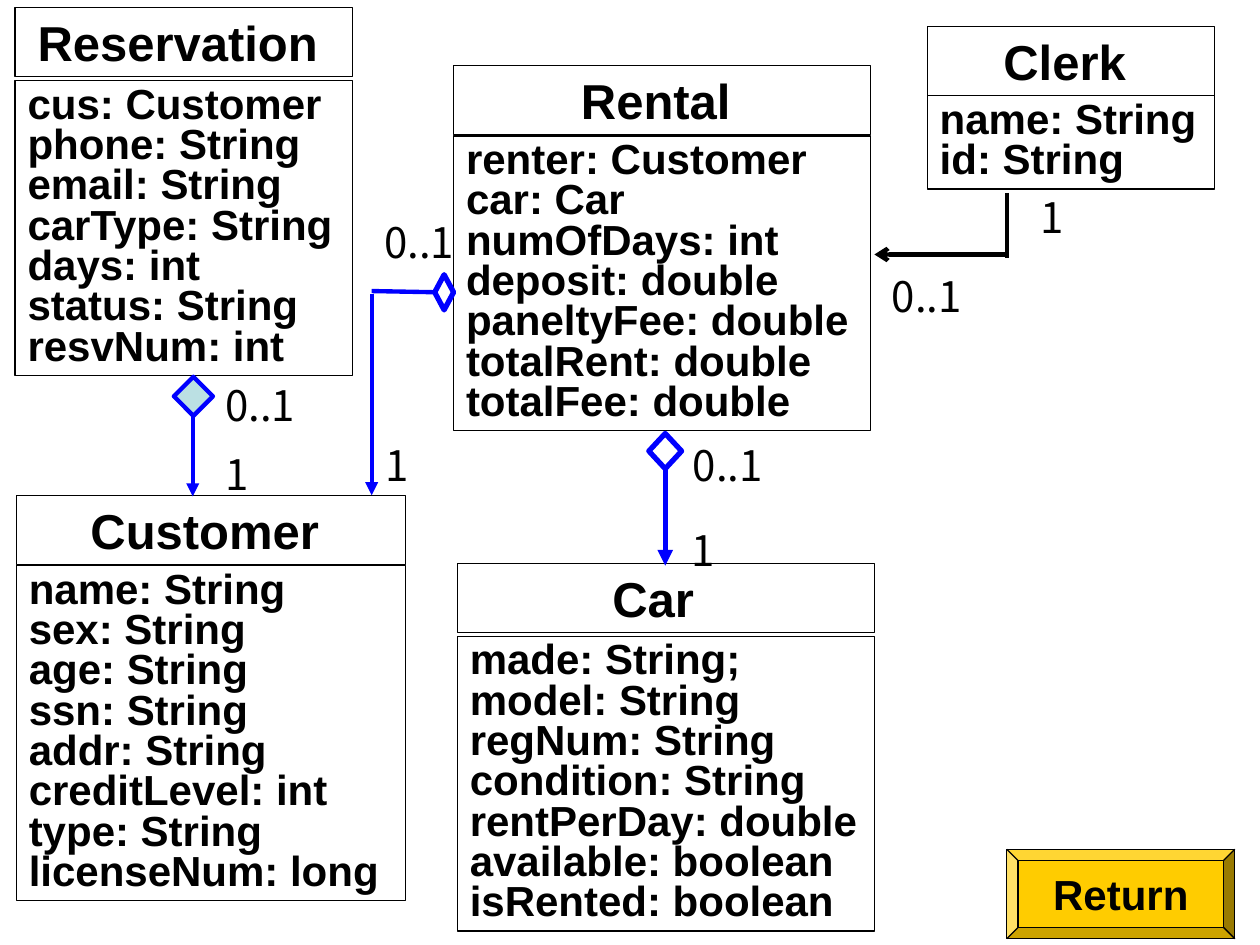
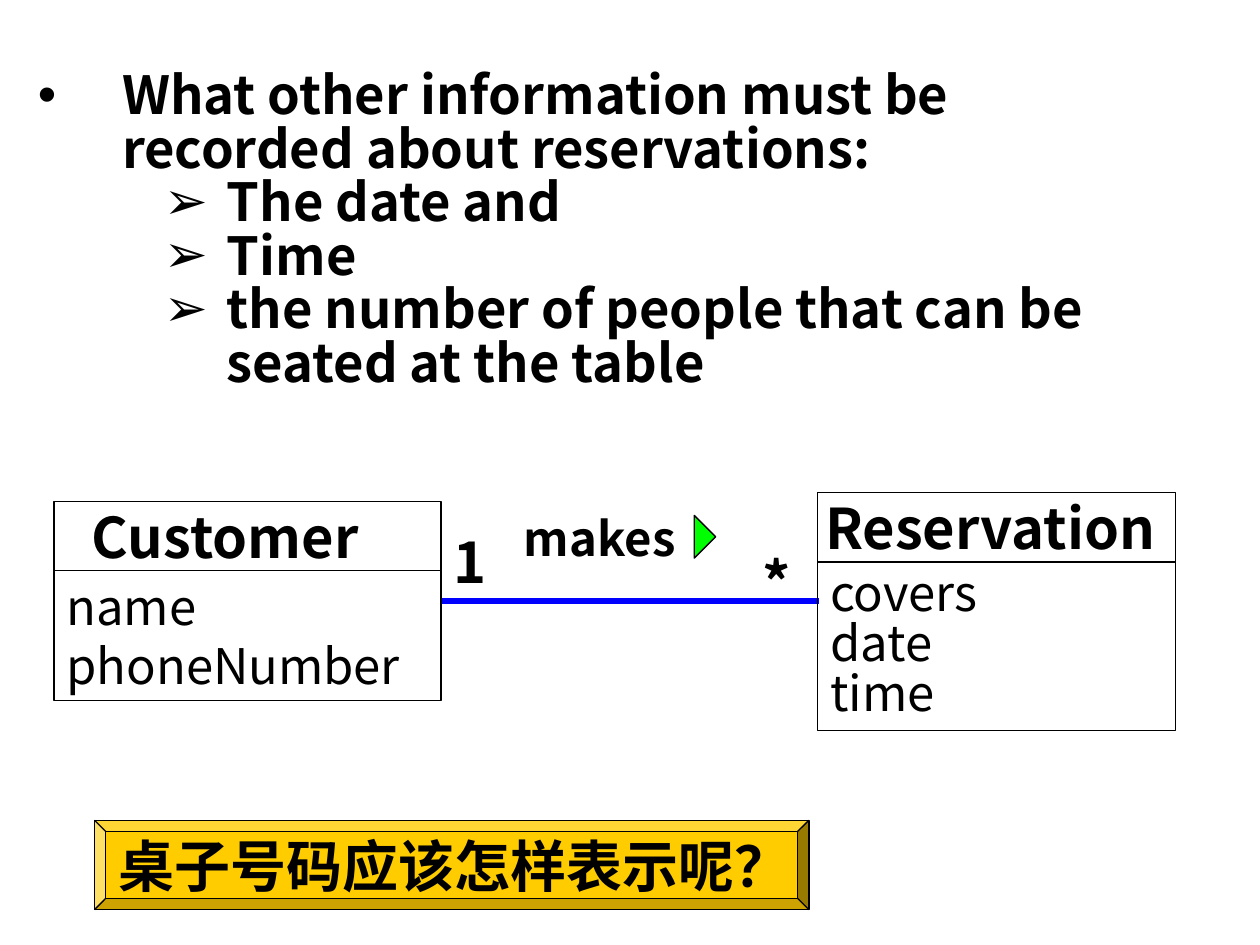
from dataclasses import dataclass

from lxml import etree
from pptx import Presentation
from pptx.dml.color import RGBColor
from pptx.enum import shapes, text
from pptx.oxml import ns
from pptx.util import Inches, Pt

BLACK = RGBColor(0x00, 0x00, 0x00)
WHITE = RGBColor(0xFF, 0xFF, 0xFF)
BLUE = RGBColor(0x00, 0x00, 0xFF)
PALE_BLUE = RGBColor(0xBB, 0xE0, 0xE3)
GOLD = RGBColor(0xFF, 0xCC, 0x00)
GREEN = RGBColor(0x00, 0xFF, 0x00)
ARIAL = "Arial"
NOTO = "Noto Sans CJK SC"
HEADER_HEIGHT = 0.55


@dataclass
class ClassStyle:
    font: str
    name_size: int
    attribute_size: int
    attribute_bold: bool
    spacing: float


CODE_STYLE = ClassStyle(ARIAL, 28, 24, True, 0.8)
DOMAIN_STYLE = ClassStyle(NOTO, 32, 28, False, 0.85)


def add_run(para, words, size, font, bold=False):
    span = para.add_run()
    span.text = words
    span.font.size = Pt(size)
    span.font.name = font
    span.font.bold = bold
    span.font.color.rgb = BLACK
    properties = span._r.get_or_add_rPr()
    etree.SubElement(properties, ns.qn("a:ea")).set("typeface", NOTO)


def fill_frame(frame, lines, size, font, bold=False, spacing=None, align=text.PP_ALIGN.LEFT):
    for index, line in enumerate(lines):
        para = frame.add_paragraph() if index else frame.paragraphs[0]
        para.alignment = align
        if spacing:
            para.line_spacing = spacing
        add_run(para, line, size, font, bold)


def add_shape(page, kind, left, top, width, height, fill=None, line=BLACK, weight=0.75):
    shape = page.shapes.add_shape(kind, Inches(left), Inches(top), Inches(width), Inches(height))
    shape.shadow.inherit = False
    if fill is None:
        shape.fill.background()
    else:
        shape.fill.solid()
        shape.fill.fore_color.rgb = fill
    shape.line.color.rgb = line
    shape.line.width = Pt(weight)
    shape.text_frame.vertical_anchor = text.MSO_ANCHOR.MIDDLE
    shape.text_frame.word_wrap = False
    return shape


def add_line(page, start, end, color=BLUE, weight=2.5, arrow=None):
    points = [Inches(value) for value in (*start, *end)]
    line = page.shapes.add_connector(shapes.MSO_CONNECTOR.STRAIGHT, *points)
    line.line.color.rgb = color
    line.line.width = Pt(weight)
    if arrow:
        outline = line.line._get_or_add_ln()
        etree.SubElement(outline, ns.qn("a:tailEnd")).set("type", arrow)
    etree.SubElement(line._element.spPr, ns.qn("a:effectLst"))


def add_label(page, words, left, top, width, height=0.5, size=24, bold=False):
    box = page.shapes.add_textbox(Inches(left), Inches(top), Inches(width), Inches(height))
    box.text_frame.word_wrap = True
    fill_frame(box.text_frame, [words], size, NOTO, bold)


def add_class(page, left, top, width, name, attributes, style=CODE_STYLE,
              gap=0.0, height=None, shift=0.1, name_indent=None):
    header = add_shape(page, shapes.MSO_SHAPE.RECTANGLE, left, top, width, HEADER_HEIGHT)
    frame = header.text_frame
    align = text.PP_ALIGN.CENTER
    if name_indent is None:
        frame.margin_right = Inches(0.1 + shift)
    else:
        frame.margin_left = Inches(name_indent)
        align = text.PP_ALIGN.LEFT
    fill_frame(frame, [name], style.name_size, style.font, True, align=align)

    height = height or 0.1 + 0.32 * len(attributes)
    body = add_shape(page, shapes.MSO_SHAPE.RECTANGLE, left, top + HEADER_HEIGHT + gap, width, height)
    body.text_frame.word_wrap = True
    fill_frame(body.text_frame, attributes, style.attribute_size, style.font,
               style.attribute_bold, style.spacing)


def add_diamond(page, left, top, width, height, fill=WHITE, weight=3):
    add_shape(page, shapes.MSO_SHAPE.DIAMOND, left, top, width, height, fill, BLUE, weight)


def add_button(page, words, left, top, width, size, align):
    button = add_shape(page, shapes.MSO_SHAPE.BEVEL, left, top, width, 0.71, GOLD)
    fill_frame(button.text_frame, [words], size, ARIAL, True, align=align)


def add_question_list(page, box, items):
    body = page.placeholders[1]
    body.left, body.top, body.width, body.height = (Inches(value) for value in box)
    frame = body.text_frame
    frame.auto_size = text.MSO_AUTO_SIZE.NONE
    for index, (level, words) in enumerate(items):
        para = frame.add_paragraph() if index else frame.paragraphs[0]
        para.level = level
        para.line_spacing = 0.85
        para.space_before = Pt(0)
        margin, indent, mark = ((1.5, -0.5, "➢") if level else (0.67, -0.67, "•"))
        properties = para._p.get_or_add_pPr()
        properties.set("marL", str(Inches(margin)))
        properties.set("indent", str(Inches(indent)))
        color = etree.SubElement(properties, ns.qn("a:buClr"))
        etree.SubElement(color, ns.qn("a:srgbClr")).set("val", str(BLACK))
        etree.SubElement(properties, ns.qn("a:buFont")).set("typeface", ARIAL)
        etree.SubElement(properties, ns.qn("a:buChar")).set("char", mark)
        add_run(para, words, 30, NOTO, True)


def build_rental_model(deck):
    page = deck.slides.add_slide(deck.slide_layouts[6])
    add_class(page, 0.12, 0.06, 2.68, "Reservation",
              ["cus: Customer", "phone: String", "email: String", "carType: String",
               "days: int", "status: String", "resvNum: int"], gap=0.03)
    add_class(page, 0.13, 3.93, 3.09, "Customer",
              ["name: String", "sex: String", "age: String", "ssn: String", "addr: String",
               "creditLevel: int", "type: String", "licenseNum: long"], gap=0.01)
    add_class(page, 3.6, 0.52, 3.31, "Rental",
              ["renter: Customer", "car: Car", "numOfDays: int", "deposit: double",
               "paneltyFee: double", "totalRent: double", "totalFee: double"], gap=0.01)
    add_class(page, 3.63, 4.47, 3.31, "Car",
              ["made: String;", "model: String", "regNum: String", "condition: String",
               "rentPerDay: double", "available: boolean", "isRented: boolean"],
              gap=0.03, shift=0.2)
    add_class(page, 7.36, 0.21, 2.28, "Clerk", ["name: String", "id: String"])

    add_diamond(page, 5.15, 3.44, 0.26, 0.28)
    add_line(page, (5.28, 3.69), (5.28, 4.49), weight=3, arrow="triangle")
    add_diamond(page, 1.38, 2.99, 0.31, 0.31, PALE_BLUE, 2.5)
    add_line(page, (1.53, 3.31), (1.53, 3.94), arrow="triangle")
    add_diamond(page, 3.45, 2.18, 0.15, 0.28)
    add_line(page, (2.95, 2.31), (3.47, 2.32))
    add_line(page, (2.95, 2.33), (2.95, 3.93), arrow="triangle")
    add_line(page, (7.99, 2.02), (6.94, 2.02), BLACK, arrow="arrow")
    add_line(page, (7.99, 1.53), (7.99, 2.05), BLACK)

    for left, top in ((5.4, 3.44), (2.95, 1.67), (1.69, 2.96), (6.98, 2.1)):
        add_label(page, "0..1", left, top, 0.78)
    for left, top in ((5.39, 4.11), (2.96, 3.44), (1.69, 3.51), (8.16, 1.47)):
        add_label(page, "1", left, top, 0.54)
    add_button(page, "Return", 7.99, 6.74, 1.81, 24, text.PP_ALIGN.CENTER)


def build_reservation_question(deck):
    page = deck.slides.add_slide(deck.slide_layouts[1])
    title = page.shapes.title._element
    title.getparent().remove(title)
    add_question_list(page, (0.2, 0.52, 9.29, 2.76), [
        (0, "What other information must be recorded about reservations:"),
        (1, "The date and"),
        (1, "Time"),
        (1, "the number of people that can be seated at the table"),
    ])
    add_line(page, (3.5, 4.77), (6.5, 4.77), weight=3)
    add_label(page, "1", 3.5, 4.14, 0.31, 0.64, 32, True)
    add_label(page, "*", 5.95, 4.3, 0.31, 0.64, 32, True)
    add_label(page, "makes", 4.06, 3.99, 1.42, 0.55, 27, True)
    add_class(page, 6.49, 3.91, 2.84, "Reservation", ["covers", "date", "time"],
              DOMAIN_STYLE, height=1.34)
    customer_style = ClassStyle(NOTO, 32, 28, False, 1.0)
    add_class(page, 0.43, 3.98, 3.07, "Customer", ["name", "phoneNumber"],
              customer_style, height=1.03, name_indent=0.3)
    pointer = add_shape(page, shapes.MSO_SHAPE.RIGHT_TRIANGLE, 5.39, 4.14, 0.24, 0.24, GREEN)
    pointer.rotation = 225
    add_button(page, "桌子号码应该怎样表示呢？", 0.75, 6.51, 5.67, 32, text.PP_ALIGN.LEFT)


def main():
    deck = Presentation()
    deck.slide_width, deck.slide_height = Inches(10), Inches(7.5)
    build_rental_model(deck)
    build_reservation_question(deck)
    deck.save("out.pptx")


if __name__ == "__main__":
    main()
